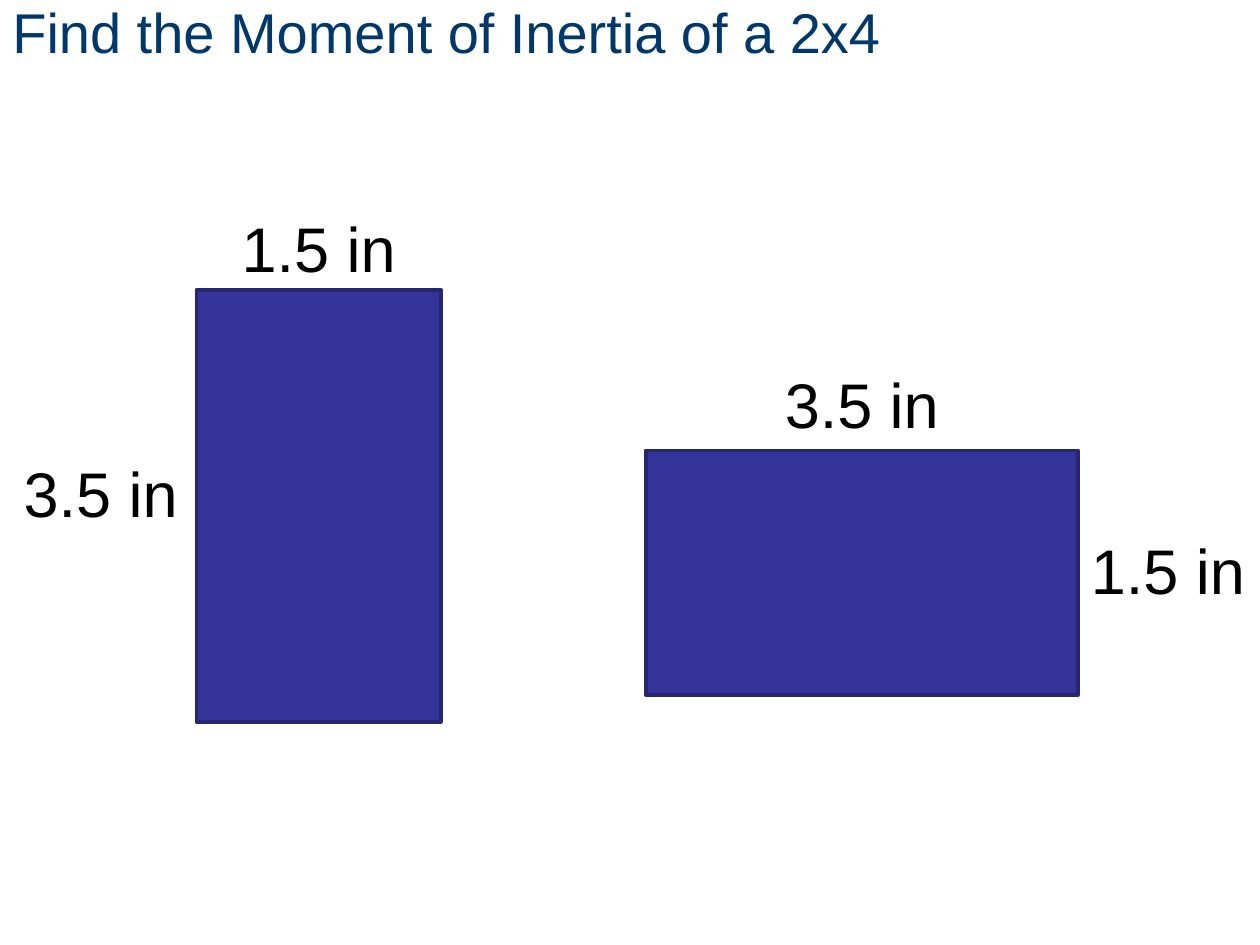
"""Build a slide asking for the moment of inertia of a 2x4 in two orientations."""
from pptx import Presentation
from pptx import util as u
from pptx.dml.color import RGBColor
from pptx.enum import shapes, text

NAVY = RGBColor(0x00, 0x38, 0x6B)
INDIGO = RGBColor(0x33, 0x33, 0x99)
DARK_INDIGO = RGBColor(0x26, 0x26, 0x71)
BLACK = RGBColor(0x00, 0x00, 0x00)


class SlideBuilder:
    font = "Arial"
    title_size = u.Pt(32)
    label_size = u.Pt(36)
    board = (1.94, 3.43)
    label_box = (1.44, 0.71)

    def __init__(self, prs):
        self.s = prs.slides.add_slide(prs.slide_layouts[6])

    def add_text(self, box, words, size, color, align):
        sp = self.s.shapes.add_textbox(*map(u.Inches, box))
        tf = sp.text_frame
        tf.text = words
        p = tf.paragraphs[0]
        p.alignment = align
        r = p.runs[0]
        r.font.name = self.font
        r.font.size = size
        r.font.color.rgb = color
        return tf

    def title(self, words):
        tf = self.add_text((0, -0.25, 9, 1), words, self.title_size, NAVY,
                           text.PP_ALIGN.LEFT)
        tf.word_wrap = True
        tf.vertical_anchor = text.MSO_ANCHOR.MIDDLE

    def label(self, left, top, words):
        tf = self.add_text((left, top, *self.label_box), words, self.label_size, BLACK,
                           text.PP_ALIGN.CENTER)
        tf.word_wrap = False
        tf.auto_size = text.MSO_AUTO_SIZE.SHAPE_TO_FIT_TEXT

    def cross_section(self, left, top, rotation=0):
        sp = self.s.shapes.add_shape(shapes.MSO_SHAPE.RECTANGLE,
                                     *map(u.Inches, (left, top, *self.board)))
        sp.rotation = rotation
        sp.shadow.inherit = False
        sp.fill.solid()
        sp.fill.fore_color.rgb = INDIGO
        sp.line.color.rgb = DARK_INDIGO
        sp.line.width = u.Pt(2)


def main():
    prs = Presentation()
    prs.slide_width, prs.slide_height = u.Inches(10), u.Inches(7.5)
    b = SlideBuilder(prs)
    b.title("Find the Moment of Inertia of a 2x4")
    b.cross_section(1.56, 2.3)
    b.cross_section(5.87, 2.83, rotation=90)
    b.label(0.08, 3.56, "3.5 in")
    b.label(1.81, 1.61, "1.5 in")
    b.label(8.55, 4.17, "1.5 in")
    b.label(6.12, 2.85, "3.5 in")
    prs.save("out.pptx")


if __name__ == "__main__":
    main()
